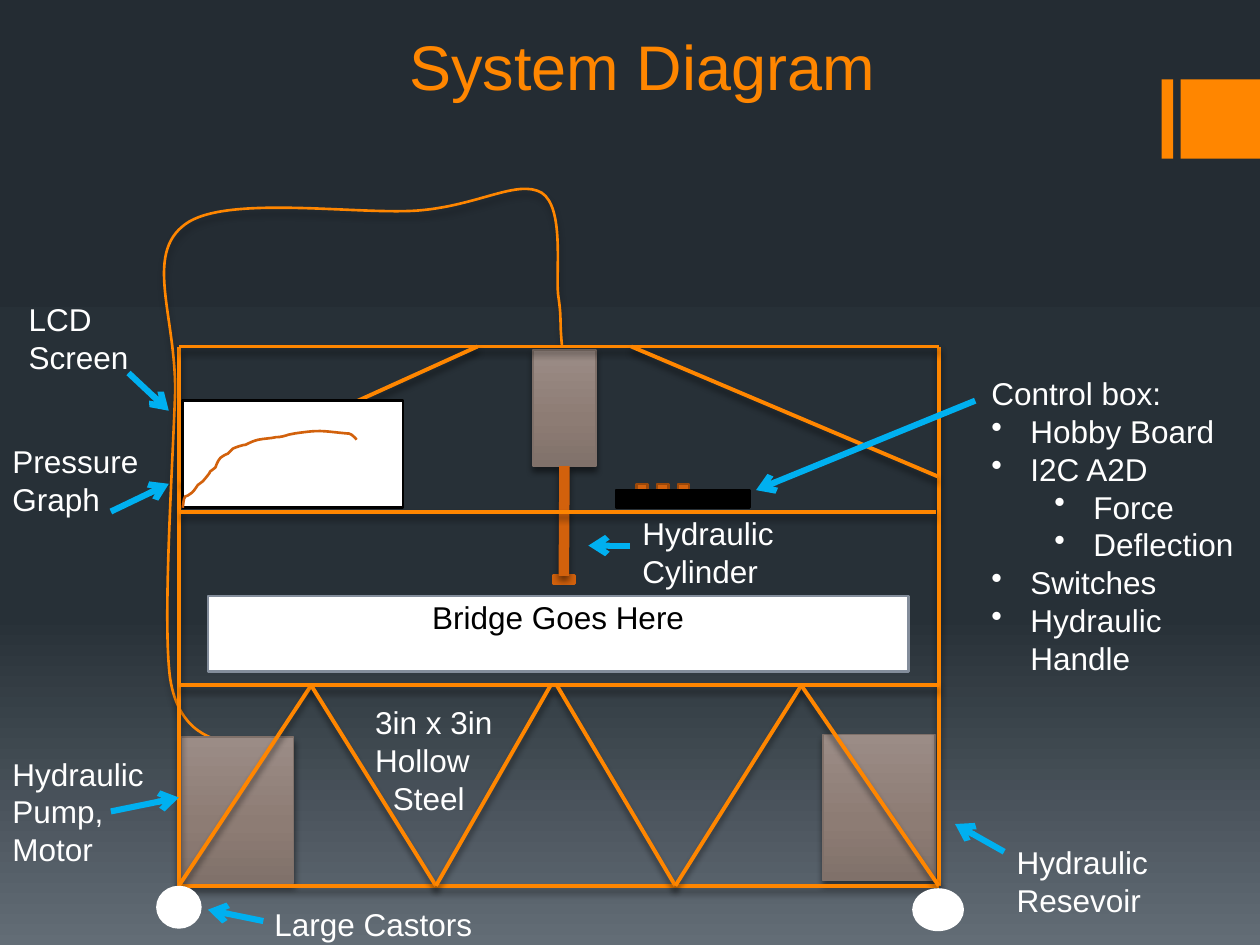
from copy import deepcopy
from dataclasses import dataclass

from lxml.etree import SubElement
from pptx import Presentation
from pptx.dml.color import RGBColor
from pptx.enum.shapes import MSO_CONNECTOR, MSO_SHAPE
from pptx.enum.text import MSO_ANCHOR, PP_ALIGN
from pptx.oxml.ns import qn
from pptx.util import Inches, Pt


@dataclass(frozen=True)
class Theme:
    font: str = "Arial"
    title_size: float = 36
    body_size: float = 18
    accent: str = "FF8600"
    rust: str = "D2610C"
    rust_edge: str = "9B4809"
    arrow: str = "00B0F0"
    white: str = "FFFFFF"
    black: str = "000000"
    bridge_edge: str = "838D9B"
    steel_edge: str = "80716A"
    steel: tuple = ((0, "9B8C86"), (0.6, "8D7C74"), (1, "80716A"))
    background: tuple = ((0, "242C33"), (0.65, "273037"), (1, "636D76"))
    thin: float = 1.5
    beam: float = 2.25
    pointer: float = 3.5
    rod: float = 6


THEME = Theme()

LEFT, RIGHT = 1.42, 7.45
ROOF, SHELF, DECK, FLOOR = 2.75, 4.06, 5.44, 7.03

BEAMS = [
    (LEFT, ROOF, LEFT, FLOOR),
    (RIGHT, ROOF, RIGHT, FLOOR),
    (LEFT, ROOF, RIGHT, ROOF),
    (LEFT, DECK, RIGHT, DECK),
    (LEFT, FLOOR, RIGHT, FLOOR),
    (5.01, ROOF, 7.44, 3.78),
    (3.79, ROOF, 1.43, 3.82),
    (LEFT, FLOOR, 2.47, DECK),
    (2.47, DECK, 3.46, FLOOR),
    (3.46, FLOOR, 4.37, DECK),
    (4.42, DECK, 5.36, FLOOR),
    (5.36, FLOOR, 6.36, DECK),
    (6.36, DECK, RIGHT, FLOOR),
]

ARROWS = [
    (1.02, 2.96, 1.34, 3.26),
    (0.88, 4.06, 1.34, 3.84),
    (0.88, 6.44, 1.42, 6.33),
    (2.09, 7.31, 1.65, 7.22),
    (7.97, 6.76, 7.58, 6.54),
    (7.74, 3.18, 6, 3.89),
    (5, 4.33, 4.67, 4.33),
]

LABELS = [
    ((0.13, 2.33, 1.4, 0.71), [("LCD Screen", 0, None)]),
    ((0, 3.46, 1.3, 0.71), [("Pressure", 0, None), ("Graph", 0, None)]),
    ((0, 5.94, 1.34, 1.01), [("Hydraulic Pump, Motor", 0, None)]),
    ((5, 4.03, 1.3, 0.6), [("Hydraulic", 0, None), ("Cylinder", 0, None)]),
    ((2.88, 5.53, 1.9, 1.01),
     [("3in x 3in", 0, None), ("Hollow", 0, None), ("Steel", 0.14, None)]),
    ((2.08, 7.13, 2.93, 0.34), [("Large Castors", 0, None)]),
    ((7.97, 6.64, 1.9, 0.71), [("Hydraulic Resevoir", 0, None)]),
    ((7.77, 2.92, 2.31, 2.52),
     [("Control box:", 0, None), ("Hobby Board", 0.31, 0), ("I2C A2D", 0.31, 0),
      ("Force", 0.81, 1), ("Deflection", 0.81, 1),
      ("Switches", 0.31, 0), ("Hydraulic Handle", 0.31, 0)]),
]

HOSE = [
    (4.46, 2.74), (4.44, 2.54), (4.46, 2.54), (4.43, 2.34),
    (4.41, 2.14), (4.48, 1.65), (4.3, 1.53), (4.11, 1.42), (3.8, 1.63), (3.33, 1.67),
    (2.86, 1.71), (1.79, 1.54), (1.47, 1.78), (1.14, 2.02), (1.4, 2.52), (1.39, 3.12),
    (1.37, 3.72), (1.29, 4.92), (1.35, 5.38), (1.42, 5.84), (1.72, 5.86), (1.8, 5.9),
]

PRESSURE = [
    (1.45, 4.03), (1.46, 4), (1.45, 3.97), (1.47, 3.94),
    (1.48, 3.93), (1.5, 3.94), (1.51, 3.92), (1.53, 3.91), (1.55, 3.88), (1.57, 3.85),
    (1.58, 3.84), (1.6, 3.83), (1.61, 3.82), (1.73, 3.68), (1.61, 3.79), (1.71, 3.71),
    (1.72, 3.68), (1.74, 3.63), (1.77, 3.62), (1.78, 3.61), (1.79, 3.61), (1.81, 3.6),
    (1.82, 3.59), (1.84, 3.57), (1.85, 3.56), (1.87, 3.55), (1.93, 3.53), (1.95, 3.53),
    (1.99, 3.51), (2.01, 3.5), (2.05, 3.49), (2.1, 3.48), (2.15, 3.48), (2.19, 3.47),
    (2.23, 3.47), (2.26, 3.46), (2.29, 3.45), (2.31, 3.45), (2.32, 3.44), (2.34, 3.44),
    (2.55, 3.41), (2.54, 3.42), (2.75, 3.44), (2.76, 3.44), (2.78, 3.44), (2.79, 3.45),
    (2.81, 3.46), (2.83, 3.49), (2.83, 3.49),
]


def rgb(color):
    return RGBColor.from_string(color)


def set_gradient(fill, element, stops):
    fill.gradient()
    fill.gradient_angle = 270
    gs_list = element.find(".//" + qn("a:gsLst"))
    gs_list.insert(1, deepcopy(gs_list[0]))
    for stop, (position, color) in zip(fill.gradient_stops, stops):
        stop.position = position
        stop.color.rgb = rgb(color)


def set_line(sp, color, width):
    sp.line.color.rgb = rgb(color)
    sp.line.width = Pt(width)


def set_effects(sp, shadow=False, alpha=48):
    effects = SubElement(sp.element.spPr, qn("a:effectLst"))
    if shadow:
        outer = SubElement(effects, qn("a:outerShdw"), blurRad=str(Pt(3.8)),
                           dist=str(Pt(3)), dir="5400000", rotWithShape="0")
        color = SubElement(outer, qn("a:srgbClr"), val=THEME.black)
        SubElement(color, qn("a:alpha"), val=str(alpha * 1000))


def add_block(s, box, fill, edge, width=THEME.thin, kind=MSO_SHAPE.RECTANGLE):
    sp = s.shapes.add_shape(kind, *map(Inches, box))
    sp.fill.solid()
    sp.fill.fore_color.rgb = rgb(fill)
    set_line(sp, edge, width)
    sp.shadow.inherit = False
    return sp


def add_steel(s, box):
    sp = s.shapes.add_shape(MSO_SHAPE.RECTANGLE, *map(Inches, box))
    set_gradient(sp.fill, sp.element, THEME.steel)
    set_line(sp, THEME.steel_edge, 1)
    set_effects(sp, shadow=True)
    return sp


def add_line(s, ends, color, width, shadow=True, arrow=False):
    sp = s.shapes.add_connector(MSO_CONNECTOR.STRAIGHT, *map(Inches, ends))
    set_line(sp, color, width)
    if arrow:
        SubElement(sp.element.spPr.find(qn("a:ln")), qn("a:tailEnd"), type="arrow")
    set_effects(sp, shadow)
    return sp


def add_curve(s, points, color, shadow=False):
    start, *rest = [(Inches(x), Inches(y)) for x, y in points]
    builder = s.shapes.build_freeform(*start)
    builder.add_line_segments(rest, close=False)
    sp = builder.convert_to_shape()
    outline = sp.element.find(".//" + qn("a:path"))
    segments = outline.findall(qn("a:lnTo"))
    for i in range(0, len(segments), 3):
        curve = SubElement(outline, qn("a:cubicBezTo"))
        for segment in segments[i:i + 3]:
            curve.append(segment[0])
            outline.remove(segment)
    sp.fill.background()
    set_line(sp, color, THEME.thin)
    set_effects(sp, shadow, alpha=28)


def set_font(p, color, size=THEME.body_size):
    p.font.name = THEME.font
    p.font.size = Pt(size)
    p.font.color.rgb = rgb(color)


def add_label(s, box, lines, color=THEME.white, size=THEME.body_size, wrap=True):
    tf = s.shapes.add_textbox(*map(Inches, box)).text_frame
    tf.word_wrap = wrap
    for i, (text, indent, level) in enumerate(lines):
        p = tf.paragraphs[0] if i == 0 else tf.add_paragraph()
        p.text = text
        set_font(p, color, size)
        props = p._p.get_or_add_pPr()
        props.set("marL", str(Inches(indent)))
        if level is not None:
            p.level = level
            props.set("indent", str(Inches(-0.31)))
            bullet = props.makeelement(qn("a:buChar"), {"char": "•"})
            props.find(qn("a:defRPr")).addprevious(bullet)


def add_bridge(s):
    sp = add_block(s, (1.65, 4.73, 5.56, 0.6), THEME.white, THEME.bridge_edge)
    tf = sp.text_frame
    tf.vertical_anchor = MSO_ANCHOR.TOP
    tf.margin_top = Inches(0.02)
    p = tf.paragraphs[0]
    p.text = "Bridge Goes Here"
    p.alignment = PP_ALIGN.CENTER
    set_font(p, THEME.black)


def add_cylinder(s):
    cylinder = add_steel(s, (4.23, 2.78, 0.5, 0.92))
    foot = add_block(s, (4.39, 4.57, 0.17, 0.06), THEME.rust, THEME.rust)
    rod = add_line(s, (4.48, 3.7, 4.48, 4.57), THEME.rust, THEME.rod)
    rod.begin_connect(cylinder, 2)
    rod.end_connect(foot, 0)


def add_control_box(s):
    for i in range(3):
        add_block(s, (5.05 + 0.165 * i, 3.84, 0.09, 0.05), THEME.rust, THEME.rust_edge)
    add_block(s, (4.89, 3.89, 1.06, 0.14), THEME.black, THEME.black)


def main():
    prs = Presentation()
    prs.slide_width, prs.slide_height = Inches(10), Inches(7.5)
    s = prs.slides.add_slide(prs.slide_layouts[6])
    set_gradient(s.background.fill, s.element, THEME.background)

    for left, width in ((9.22, 0.09), (9.37, 0.63)):
        bar = add_block(s, (left, 0.63, width, 0.63), THEME.accent, THEME.accent)
        bar.line.fill.background()
    add_label(s, (3.15, 0.17, 3.93, 0.71), [("System Diagram", 0, None)],
              THEME.accent, THEME.title_size, wrap=False)

    add_steel(s, (6.53, 5.83, 0.89, 1.16))
    add_curve(s, HOSE, THEME.accent, shadow=True)
    add_cylinder(s)
    add_control_box(s)
    add_steel(s, (1.44, 5.85, 0.89, 1.16))
    for ends in BEAMS:
        add_line(s, ends, THEME.accent, THEME.beam)
    for box in ((1.25, 7.04, 0.34, 0.32), (7.25, 7.06, 0.39, 0.32)):
        add_block(s, box, THEME.white, THEME.white, kind=MSO_SHAPE.OVAL)
    add_bridge(s)
    add_block(s, (1.45, 3.18, 1.75, 0.85), THEME.white, THEME.black)
    add_line(s, (LEFT, SHELF, 7.43, SHELF), THEME.accent, THEME.beam)
    add_curve(s, PRESSURE, THEME.rust)

    for box, lines in LABELS:
        add_label(s, box, lines)
    for ends in ARROWS:
        add_line(s, ends, THEME.arrow, THEME.pointer, shadow=False, arrow=True)
    prs.save("out.pptx")


if __name__ == "__main__":
    main()
